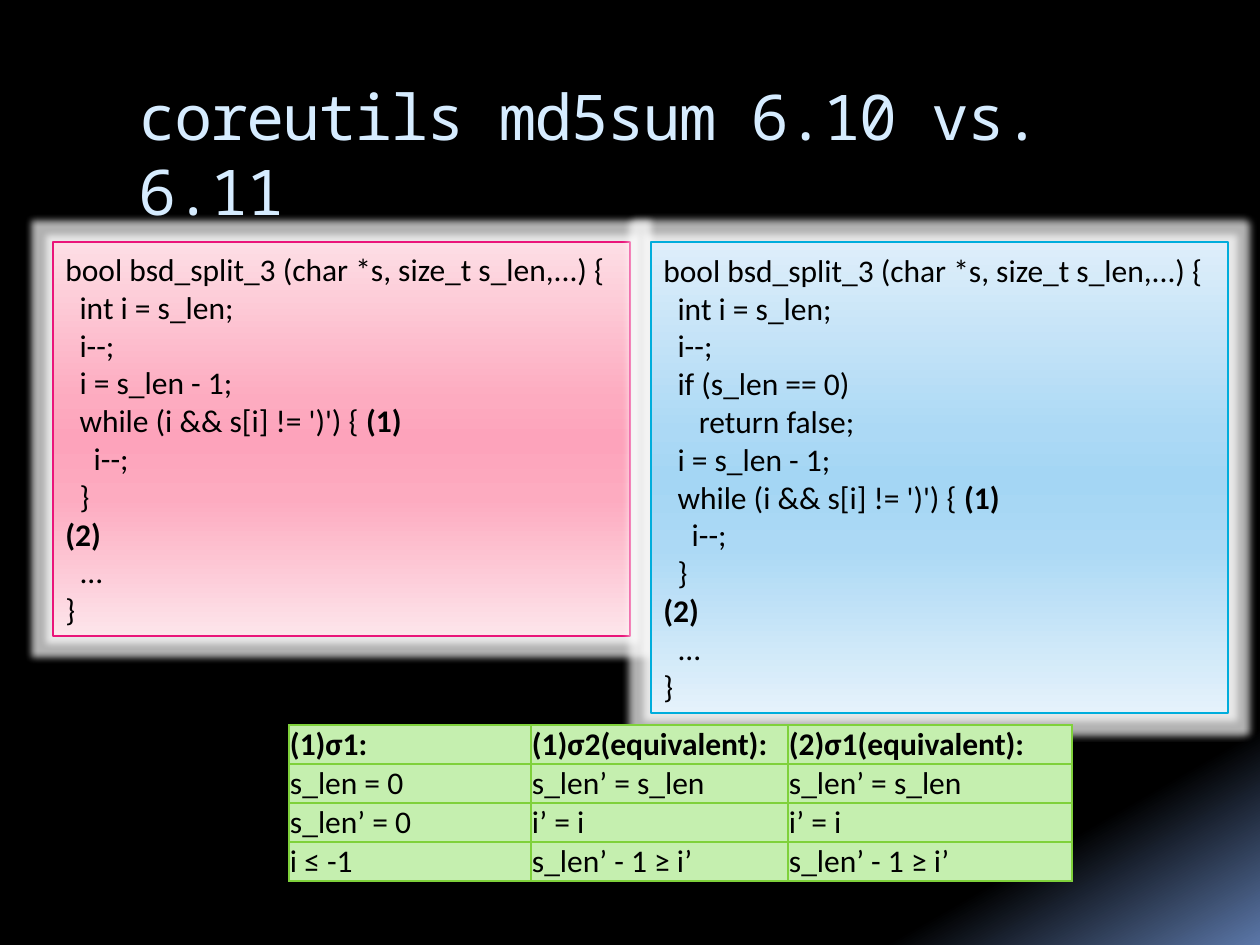
from pptx import Presentation, util as u
from pptx.dml.color import RGBColor
from pptx.enum import shapes, text
from pptx.oxml import parse_xml
from pptx.oxml.ns import nsdecls, qn

PX = u.Inches(1) / 126
BORDER = "7FD13B"

OLD_CODE = """bool bsd_split_3 (char *s, size_t s_len,...) {
  int i = s_len;
  i--;
  i = s_len - 1;
  while (i && s[i] != ')') { (1)
    i--;
  }
(2)
  ...
}"""
NEW_CODE = OLD_CODE.replace("  i = s_len - 1;", "  if (s_len == 0)\n     return false;\n  i = s_len - 1;")
STATES = [
    ("(1)σ1:", "(1)σ2(equivalent):", "(2)σ1(equivalent):"),
    ("s_len = 0", "s_len’ = s_len", "s_len’ = s_len"),
    ("s_len’ = 0", "i’ = i", "i’ = i"),
    ("i ≤ -1", "s_len’ - 1 ≥ i’", "s_len’ - 1 ≥ i’"),
]


def px(*lengths):
    return [u.Emu(round(n * PX)) for n in lengths]


def color(value):
    return RGBColor.from_string(value)


def add_run(paragraph, words, font="Calibri", size=18, fill="000000", bold=False, spacing=None):
    run = paragraph.add_run()
    run.text = words
    run.font.name, run.font.size, run.font.bold = font, u.Pt(size), bold
    run.font.color.rgb = color(fill)
    if spacing is not None:
        run.font._element.set("spc", str(spacing * 100))
    paragraph.alignment = text.PP_ALIGN.LEFT


def set_gradient(fill, parent, stops, angle):
    """Fill with (percent, hex) stops; the angle runs clockwise."""
    fill.gradient()
    fill.gradient_angle = 360 - angle
    stop_list = parent.find(".//" + qn("a:gsLst"))
    for stop in list(stop_list):
        stop_list.remove(stop)
    for percent, value in stops:
        stop_list.append(parse_xml(
            f'<a:gs {nsdecls("a")} pos="{percent * 1000}"><a:srgbClr val="{value}"/></a:gs>'))


def add_title(slide, box, words):
    title = slide.shapes.add_textbox(*px(*box)).text_frame
    title.word_wrap = True
    add_run(title.paragraphs[0], words, font="Noto Sans Mono", size=36, fill="D6ECFF", spacing=-1)


def add_code_panel(slide, box, code, stops, outline):
    panel = slide.shapes.add_shape(shapes.MSO_SHAPE.RECTANGLE, *px(*box))
    panel.shadow.inherit = False
    set_gradient(panel.fill, panel._element.spPr, stops, 90)
    panel.line.color.rgb, panel.line.width = color(outline), u.Pt(0.94)
    panel._element.spPr.find(qn("a:effectLst")).append(parse_xml(
        f'<a:glow {nsdecls("a")} rad="101600"><a:srgbClr val="FFFFFF">'
        '<a:alpha val="70000"/></a:srgbClr></a:glow>'))
    frame = panel.text_frame
    frame.word_wrap = True
    frame.auto_size = text.MSO_AUTO_SIZE.SHAPE_TO_FIT_TEXT
    frame.vertical_anchor = text.MSO_ANCHOR.MIDDLE
    for number, line in enumerate(code.split("\n")):
        paragraph = frame.add_paragraph() if number else frame.paragraphs[0]
        has_mark = line.endswith(("(1)", "(2)"))
        statement, mark = (line[:-3], line[-3:]) if has_mark else (line, "")
        if statement:
            add_run(paragraph, statement)
        if mark:
            add_run(paragraph, mark, bold=True)


def style_cell(cell):
    cell.margin_left, cell.margin_top, cell.margin_right, cell.margin_bottom = px(1, 1, 1, 0)
    cell.vertical_anchor = text.MSO_ANCHOR.BOTTOM
    properties = cell._tc.get_or_add_tcPr()
    for side in ("lnL", "lnR", "lnT", "lnB"):
        properties.append(parse_xml(
            f'<a:{side} {nsdecls("a")} w="{u.Pt(0.94)}"><a:solidFill>'
            f'<a:srgbClr val="{BORDER}"/></a:solidFill></a:{side}>'))
    cell.fill.solid()
    cell.fill.fore_color.rgb = color("C5EFAF")


def add_state_table(slide, left, top, widths, row_height, rows):
    box = px(left, top, sum(widths), row_height * len(rows))
    table = slide.shapes.add_table(len(rows), len(widths), *box).table
    for column, width in zip(table.columns, px(*widths)):
        column.width = width
    for r, row in enumerate(rows):
        for c, words in enumerate(row):
            cell = table.cell(r, c)
            style_cell(cell)
            add_run(cell.text_frame.paragraphs[0], words, bold=r == 0)


def main():
    deck = Presentation()
    deck.slide_width, deck.slide_height = px(1260, 945)
    slide = deck.slides.add_slide(deck.slide_layouts[6])
    set_gradient(slide.background.fill, slide._element,
                 [(0, "000000"), (65, "000000"), (87, "000000"), (100, "5B77A8")], 60)
    add_title(slide, (126, 71, 1071, 126), "coreutils md5sum 6.10 vs. 6.11")
    pink = [(0, "FDDEE5"), (40, "FDABC0"), (50, "FDA3BB"), (65, "FDABC0"), (100, "FDE5EB")]
    blue = [(0, "DEEEFA"), (40, "ACD9F5"), (50, "A4D6F4"), (65, "ACD9F5"), (100, "E5F2FB")]
    add_code_panel(slide, (53, 242, 577, 394), OLD_CODE, pink, "EA157A")
    add_code_panel(slide, (651, 242, 577, 471), NEW_CODE, blue, "00ADDC")
    add_state_table(slide, 289, 725, (242, 257, 284), 39, STATES)
    deck.save("out.pptx")


if __name__ == "__main__":
    main()
